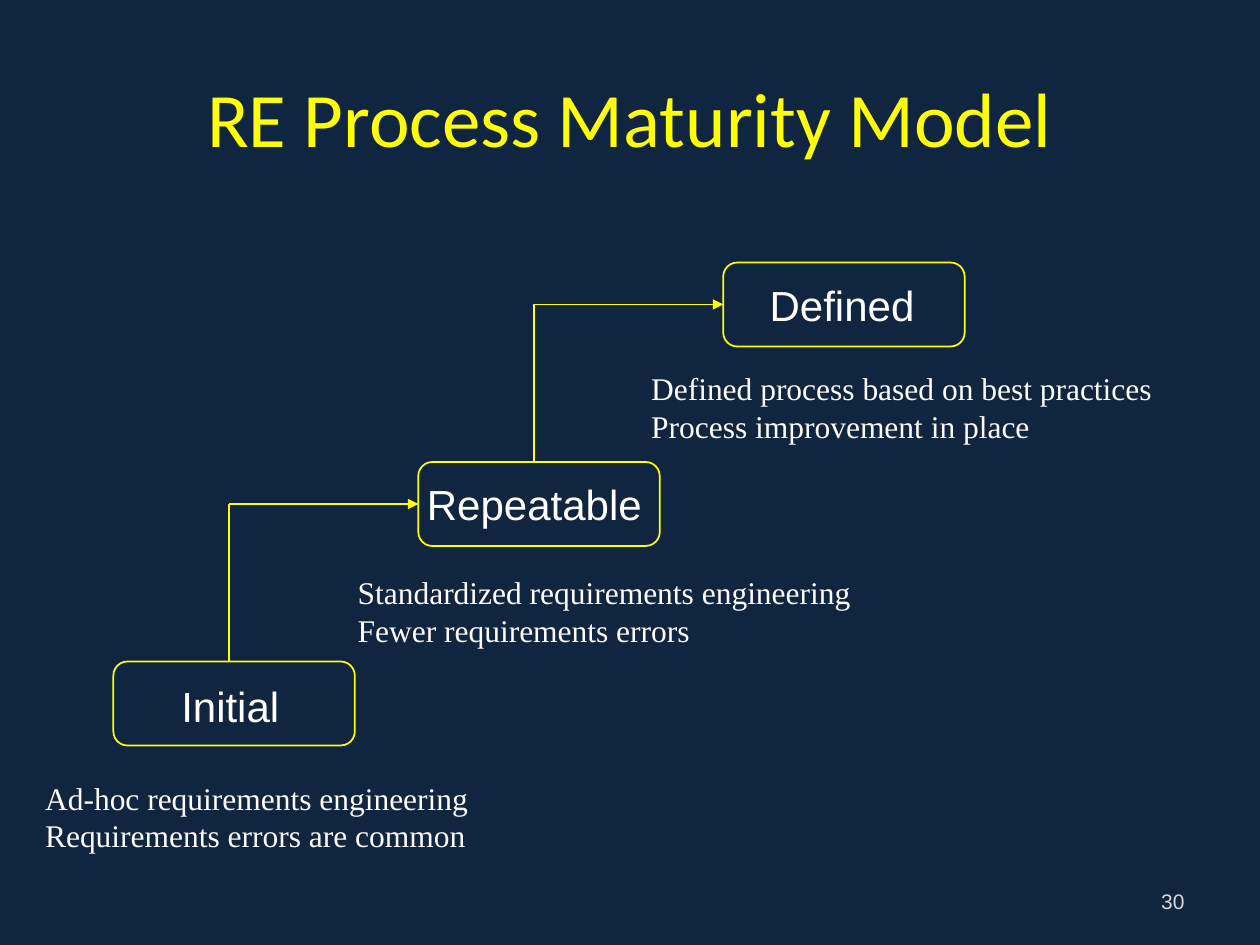
import pptx
import pptx.util
import pptx.dml.color
import pptx.enum.shapes
import pptx.enum.text
import pptx.oxml.ns
import lxml.etree

Pt = pptx.util.Pt
RGB = pptx.dml.color.RGBColor
ALIGN = pptx.enum.text.PP_ALIGN
ANCHOR = pptx.enum.text.MSO_ANCHOR
AUTO_SIZE = pptx.enum.text.MSO_AUTO_SIZE

NAVY = RGB(0x10, 0x25, 0x3F)
YELLOW = RGB(0xFF, 0xFF, 0x00)
WHITE = RGB(0xFF, 0xFF, 0xFF)
GREY = RGB(0xD9, 0xD9, 0xD9)

# Content: each level has a label, its frame, a description and its frame
TITLE = "RE Process Maturity Model"
PAGE = "30"
LEVELS = [
    ("Initial", (96.5, 385.2, 70.5, 36),
     ["Ad-hoc requirements engineering", "Requirements errors are common"],
     (18.7, 441.4, 328.3, 50.4)),
    ("Repeatable", (236.9, 270, 138, 36),
     ["Standardized requirements engineering", "Fewer requirements errors"],
     (197.3, 324, 367.9, 50.4)),
    ("Defined", (432.7, 156.2, 97.2, 36),
     ["Defined process based on best practices", "Process improvement in place"],
     (365, 207.4, 373, 50.4)),
]

# Staircase geometry
X0, Y0 = 64.8, 378
BOX_W, BOX_H = 138, 48
RISER_X, RISER, RUN = 66.25, 90, 108
STEP_X, STEP_Y = RISER_X + RUN, RISER + BOX_H / 2


def add_text(slide, lines, frame, size=18, font="Arial", color=WHITE,
             align=ALIGN.LEFT, anchor=ANCHOR.TOP, wrap=True):
    sp = slide.shapes.add_textbox(*map(Pt, frame))
    tf = sp.text_frame
    tf.word_wrap = wrap
    # An unwrapped frame grows with its text, so the line never breaks
    tf.auto_size = AUTO_SIZE.NONE if wrap else AUTO_SIZE.SHAPE_TO_FIT_TEXT
    tf.vertical_anchor = anchor
    for i, line in enumerate(lines):
        p = tf.paragraphs[0] if i == 0 else tf.add_paragraph()
        p.alignment = align
        r = p.add_run()
        r.text = line
        r.font.size = Pt(size)
        r.font.name = font
        r.font.color.rgb = color


def add_line(slide, x1, y1, x2, y2, arrow=False):
    ln = slide.shapes.add_connector(
        pptx.enum.shapes.MSO_CONNECTOR.STRAIGHT, *map(Pt, (x1, y1, x2, y2)))
    ln.line.color.rgb = YELLOW
    ln.line.width = Pt(1)
    qn = pptx.oxml.ns.qn
    if arrow:
        lxml.etree.SubElement(ln.get_or_add_ln(), qn("a:tailEnd"), type="triangle")
    lxml.etree.SubElement(ln.element.spPr, qn("a:effectLst"))


def add_box(slide, x, y):
    sp = slide.shapes.add_shape(pptx.enum.shapes.MSO_SHAPE.ROUNDED_RECTANGLE,
                                *map(Pt, (x, y, BOX_W, BOX_H)))
    sp.shadow.inherit = False
    sp.fill.background()
    sp.line.color.rgb = YELLOW
    sp.line.width = Pt(1)


def main():
    prs = pptx.Presentation()
    prs.slide_width, prs.slide_height = Pt(720), Pt(540)
    slide = prs.slides.add_slide(prs.slide_layouts[6])
    slide.background.fill.solid()
    slide.background.fill.fore_color.rgb = NAVY

    # Title and page number
    add_text(slide, [TITLE], (36, 21.6, 648, 90), size=44, font="Calibri",
             color=YELLOW, align=ALIGN.CENTER, anchor=ANCHOR.MIDDLE)
    add_text(slide, [PAGE], (516, 500.4, 168, 28.8), size=12, color=GREY,
             align=ALIGN.RIGHT, anchor=ANCHOR.MIDDLE)

    # Boxes climbing to the right, each joined to the next by a riser and an arrow
    for i, (label, label_frame, notes, notes_frame) in enumerate(LEVELS):
        x, y = X0 + i * STEP_X, Y0 - i * STEP_Y
        add_box(slide, x, y)
        if i < len(LEVELS) - 1:
            rx, top = x + RISER_X, y - RISER
            add_line(slide, rx, y, rx, top)
            add_line(slide, rx, top, rx + RUN, top, arrow=True)
        add_text(slide, notes, notes_frame, font="Times New Roman")
        add_text(slide, [label], label_frame, size=24, wrap=False)

    prs.save("out.pptx")


if __name__ == "__main__":
    main()
